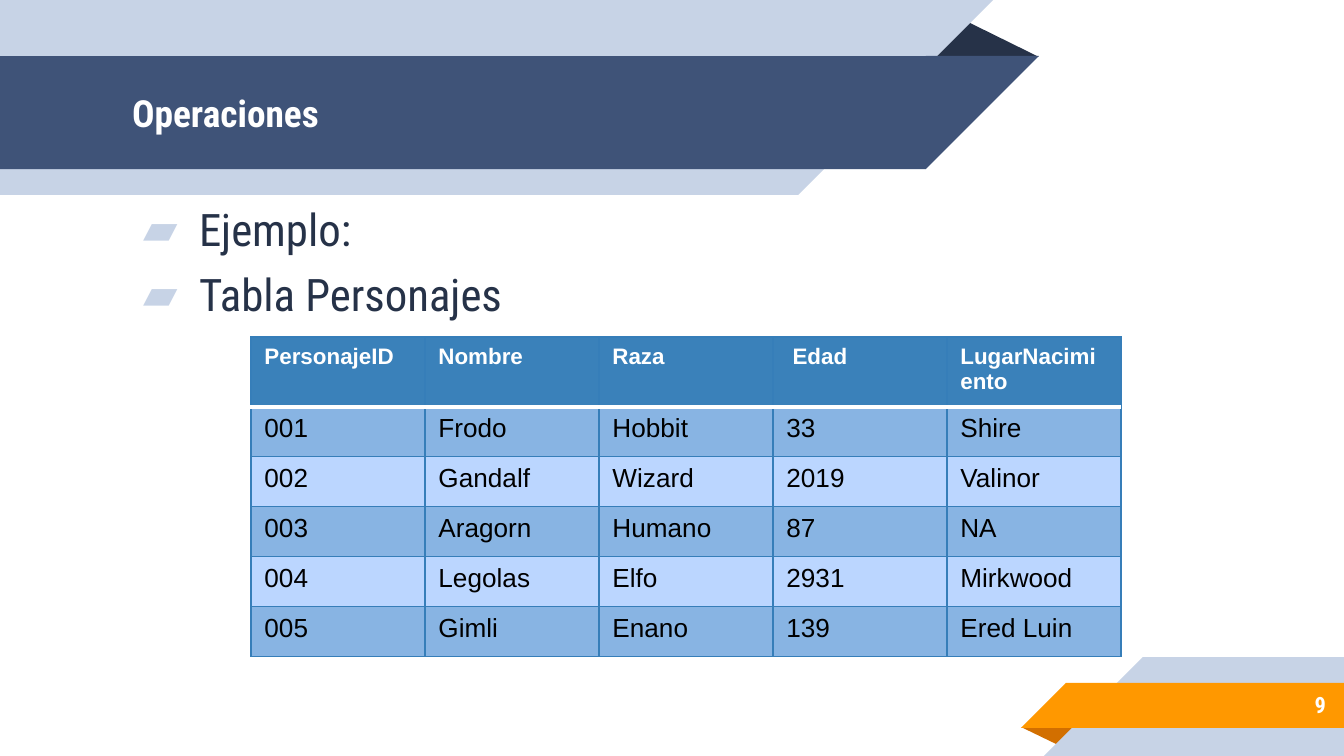
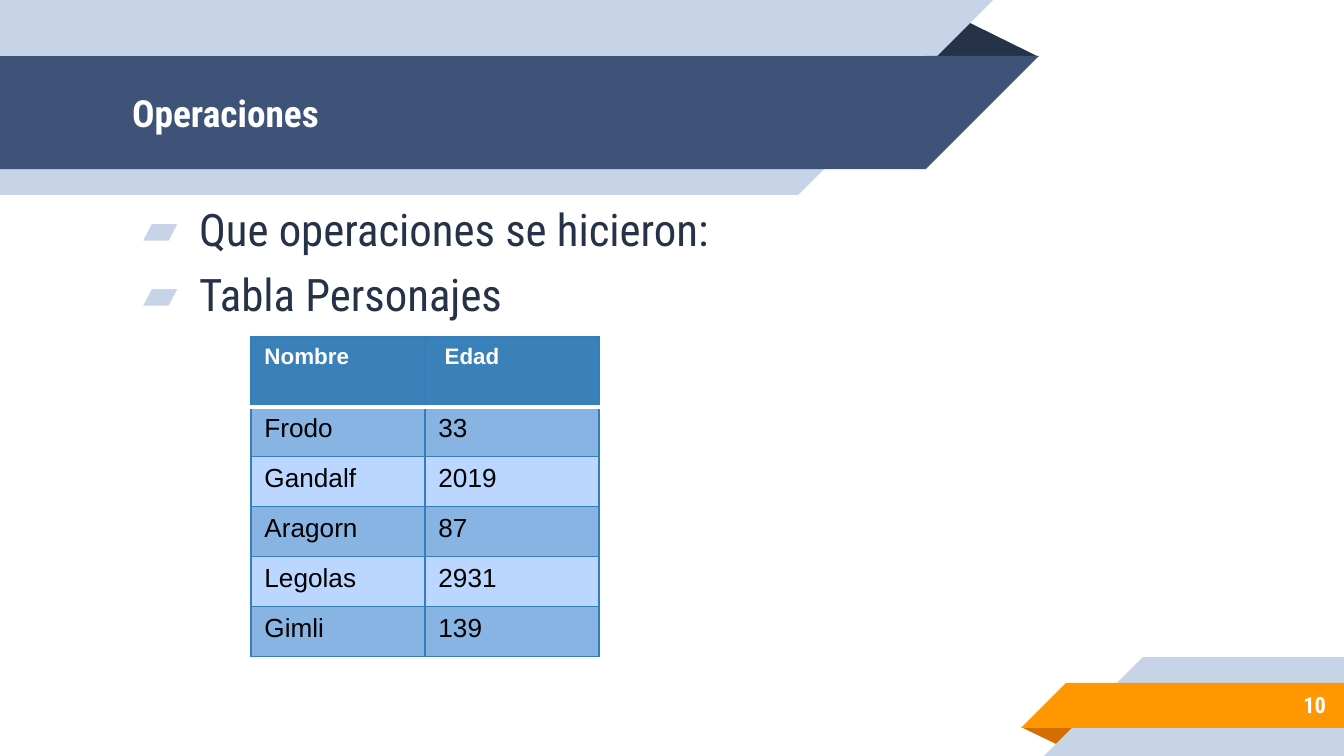
"""Two slides on relational operations: a table of characters and its projection."""
from lxml.etree import SubElement
from pptx import Presentation
from pptx.dml.color import RGBColor
from pptx.enum.shapes import MSO_SHAPE as Preset
from pptx.enum.text import MSO_ANCHOR as Anchor, MSO_AUTO_SIZE as AutoSize, PP_ALIGN as Align
from pptx.oxml.ns import qn
from pptx.util import Pt

EMU_PER_PX = 914400 / 134.4
WIDTH, HEIGHT = 1344, 756
INSET = 13
TITLE_FONT, TABLE_FONT = "Roboto Condensed", "Arial"
COLOURS = {
    "white": "FFFFFF", "black": "000000", "ink": "263248", "navy": "3F5378",
    "pale": "C7D3E6", "orange": "FF9800", "rust": "D26F00",
    "table_head": "3A81BA", "table_line": "367EB9",
    "row_dark": "88B4E3", "row_light": "BBD6FF",
}
HEADER_BOX = (0, 0, 1039, 195)
FOOTER_BOX = (1021, 657, 323, 99)
TITLE_BOX = (119, 56, 808, 113)
BODY_BOX = (119, 195, 902, 462)
NUMBER_BOX = (1120, 681, 219, 47)
TABLE_ORIGIN = (251, 337)
COLUMN_WIDTH, HEAD_HEIGHT, ROW_HEIGHT = 174, 70, 50

HEADINGS = ["PersonajeID", "Nombre", "Raza", " Edad", "LugarNacimiento"]
CHARACTERS = [
    ["001", "Frodo", "Hobbit", "33", "Shire"],
    ["002", "Gandalf", "Wizard", "2019", "Valinor"],
    ["003", "Aragorn", "Humano", "87", "NA"],
    ["004", "Legolas", "Elfo", "2931", "Mirkwood"],
    ["005", "Gimli", "Enano", "139", "Ered Luin"],
]
SLIDES = [
    {"number": "9", "bullets": ["Ejemplo:", "Tabla Personajes"],
     "columns": [0, 1, 2, 3, 4]},
    {"number": "10", "bullets": ["Que operaciones se hicieron:", "Tabla Personajes"],
     "columns": [1, 3]},
]


def px(length):
    """Turn pixels into EMU."""
    return round(length * EMU_PER_PX)


def colour(name):
    """Look up a palette colour."""
    return RGBColor.from_string(COLOURS[name])


def add_run(paragraph, text, size, colour_name, font_name=TITLE_FONT, bold=False):
    """Add one formatted run to a paragraph."""
    run = paragraph.add_run()
    run.text = text
    font = run.font
    font.name, font.size, font.bold = font_name, Pt(size), bold
    font.color.rgb = colour(colour_name)


def add_piece(group, preset, box, colour_name, rotation=0, flipped=True):
    """Add one flat, outline-free piece of a ribbon."""
    shape = group.shapes.add_shape(preset, *map(px, box))
    shape.shadow.inherit = False
    shape.fill.solid()
    shape.fill.fore_color.rgb = colour(colour_name)
    shape.line.fill.background()
    shape.rotation = rotation
    if flipped:
        shape.element.spPr.find(qn("a:xfrm")).set("flipH", "1")
    return shape


def add_fold(group, box, colour_name, rotation=0):
    """Add the dark triangle that shows behind a folded ribbon."""
    fold = add_piece(group, Preset.ISOSCELES_TRIANGLE, box, colour_name, rotation, False)
    fold.adjustments[0] = 0.324


def add_header(slide, box):
    """Draw the title ribbon with slanted right ends."""
    left, top, width, height = box
    group = slide.shapes.add_group_shape()
    add_fold(group, (left + width - 114, top + 19, 114, 38), "ink")
    for offset, length, band, name in [(0, 798, height, "pale"), (56, 926, 113, "navy")]:
        y = top + offset
        add_piece(group, Preset.RECTANGLE, (left, y, length, band), name, 180)
        add_piece(group, Preset.RIGHT_TRIANGLE, (left + length, y, band, band), name, 180)


def add_footer(slide, box):
    """Draw the page number ribbon with slanted left ends."""
    left, top, width, height = box
    group = slide.shapes.add_group_shape()
    add_fold(group, (left, top + 70, 58, 19), "rust", 180)
    for x, y, band, name in [(23, 0, height, "pale"), (0, 26, 45, "orange")]:
        add_piece(group, Preset.RECTANGLE,
                  (left + x + band, top + y, width - x - band, band), name)
        add_piece(group, Preset.RIGHT_TRIANGLE, (left + x, top + y, band, band), name)


def set_frame(shape, box, anchor, top_inset=INSET):
    """Place a text shape, bring it to the front and set up its frame."""
    shape.left, shape.top, shape.width, shape.height = map(px, box)
    shape.element.getparent().append(shape.element)
    frame = shape.text_frame
    frame.word_wrap, frame.auto_size = True, AutoSize.NONE
    frame.vertical_anchor = anchor
    frame.margin_left = frame.margin_right = frame.margin_bottom = px(INSET)
    frame.margin_top = px(top_inset)
    return frame


def add_title(slide, box, text):
    """Fill the title placeholder."""
    paragraph = set_frame(slide.shapes.title, box, Anchor.MIDDLE).paragraphs[0]
    paragraph.alignment = Align.LEFT
    add_run(paragraph, text, 20, "white", bold=True)


def add_bullets(slide, box, bullets):
    """Fill the body placeholder with a bulleted list."""
    frame = set_frame(slide.placeholders[1], box, Anchor.TOP, 7)
    for index, text in enumerate(bullets):
        paragraph = frame.add_paragraph() if index else frame.paragraphs[0]
        paragraph.space_before = Pt(6)
        add_run(paragraph, text, 24, "ink")
        properties = paragraph._p.get_or_add_pPr()
        properties.set("marL", str(px(67)))
        properties.set("indent", str(px(-56)))
        bullet_colour = SubElement(properties, qn("a:buClr"))
        SubElement(bullet_colour, qn("a:srgbClr"), val=COLOURS["pale"])
        SubElement(properties, qn("a:buFont"), typeface=TITLE_FONT)
        SubElement(properties, qn("a:buChar"), char="▰")


def add_number(slide, box, number):
    """Write the page number on the footer ribbon."""
    textbox = slide.shapes.add_textbox(*map(px, box))
    paragraph = set_frame(textbox, box, Anchor.MIDDLE).paragraphs[0]
    paragraph.alignment = Align.RIGHT
    add_run(paragraph, number, 12, "white", bold=True)


def set_borders(cell, row):
    """Draw the cell borders, with a thick white rule under the heading row."""
    properties = cell._tc.get_or_add_tcPr()
    white_side = {0: "lnB", 1: "lnT"}.get(row)
    for side in ("lnL", "lnR", "lnT", "lnB"):
        points, name = (2, "white") if side == white_side else (0.75, "table_line")
        line = SubElement(properties, qn(f"a:{side}"), w=str(Pt(points)))
        fill = SubElement(line, qn("a:solidFill"))
        SubElement(fill, qn("a:srgbClr"), val=COLOURS[name])


def add_character_table(slide, origin, columns):
    """Add the chosen columns of the character table."""
    rows = [[record[column] for column in columns] for record in [HEADINGS] + CHARACTERS]
    size = (COLUMN_WIDTH * len(columns), HEAD_HEIGHT + ROW_HEIGHT * len(CHARACTERS))
    table = slide.shapes.add_table(len(rows), len(columns), *map(px, origin + size)).table
    table.horz_banding = False
    for column in table.columns:
        column.width = px(COLUMN_WIDTH)
    for row, values in enumerate(rows):
        heading = row == 0
        table.rows[row].height = px(HEAD_HEIGHT if heading else ROW_HEIGHT)
        fill_name = "table_head" if heading else "row_dark" if row % 2 else "row_light"
        size, ink = (12, "white") if heading else (14, "black")
        for column, value in enumerate(values):
            cell = table.cell(row, column)
            set_borders(cell, row)
            cell.fill.solid()
            cell.fill.fore_color.rgb = colour(fill_name)
            add_run(cell.text_frame.paragraphs[0], value, size, ink, TABLE_FONT, heading)


def add_operations_slide(presentation, content):
    """Build one slide of bullets above a table."""
    slide = presentation.slides.add_slide(presentation.slide_layouts[1])
    add_header(slide, HEADER_BOX)
    add_footer(slide, FOOTER_BOX)
    add_title(slide, TITLE_BOX, "Operaciones")
    add_bullets(slide, BODY_BOX, content["bullets"])
    add_number(slide, NUMBER_BOX, content["number"])
    add_character_table(slide, TABLE_ORIGIN, content["columns"])


def main():
    """Build and save the presentation."""
    presentation = Presentation()
    presentation.slide_width, presentation.slide_height = px(WIDTH), px(HEIGHT)
    for content in SLIDES:
        add_operations_slide(presentation, content)
    presentation.save("out.pptx")


if __name__ == "__main__":
    main()
